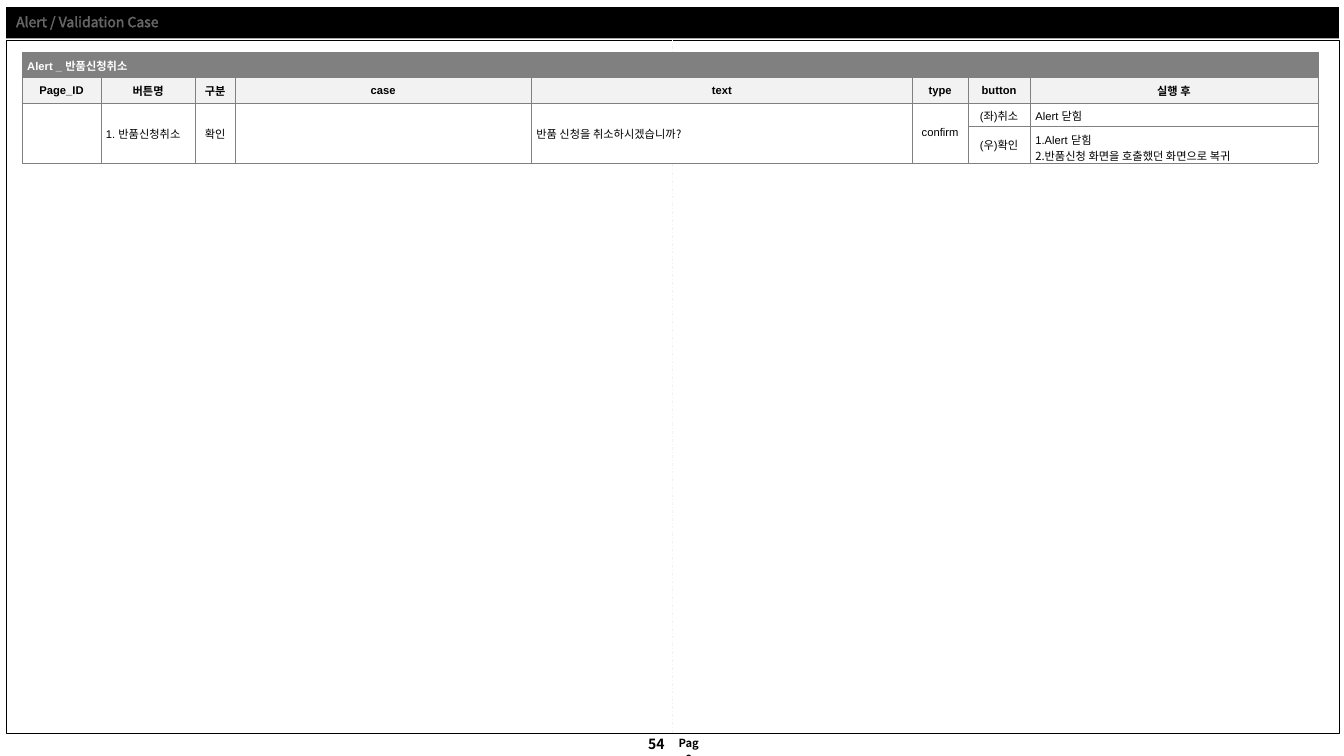
from dataclasses import dataclass

from lxml import etree
from pptx import Presentation
from pptx.dml.color import RGBColor
from pptx.enum.dml import MSO_LINE
from pptx.enum.shapes import MSO_CONNECTOR, MSO_SHAPE
from pptx.enum.text import MSO_ANCHOR, MSO_AUTO_SIZE, PP_ALIGN
from pptx.oxml.ns import qn
from pptx.slide import Slide
from pptx.table import Table, _Cell
from pptx.util import Inches, Pt

LEFT, CENTER, RIGHT = PP_ALIGN.LEFT, PP_ALIGN.CENTER, PP_ALIGN.RIGHT
MIDDLE = MSO_ANCHOR.MIDDLE
NO_AUTOFIT = MSO_AUTO_SIZE.NONE
DASH_DOT = MSO_LINE.DASH_DOT
RECTANGLE = MSO_SHAPE.RECTANGLE
STRAIGHT = MSO_CONNECTOR.STRAIGHT

BLACK = RGBColor(0x00, 0x00, 0x00)
WHITE = RGBColor(0xFF, 0xFF, 0xFF)
GRAY = RGBColor(0x80, 0x80, 0x80)
PALE = RGBColor(0xF2, 0xF2, 0xF2)

ARIAL = "Arial"
NOTO = "Noto Sans CJK KR"

HEADERS = ["Page_ID", "버튼명", "구분", "case", "text", "type", "button", "실행 후"]
COLUMN_WIDTHS = [0.78, 0.94, 0.39, 2.94, 3.78, 0.55, 0.62, 2.85]
ROW_HEIGHTS = [0.25, 0.25, 0.22, 0.22]


@dataclass
class CellSpec:
    row: int
    column: int
    lines: tuple[str, ...] = ("",)
    align: PP_ALIGN = LEFT
    row_span: int = 1
    column_span: int = 1
    font: str = ARIAL
    color: RGBColor = BLACK
    fill: RGBColor = WHITE
    bold: bool = False
    numbered: bool = False
    margin: float = 0.05
    line_spacing: float | None = None


@dataclass
class Label:
    text: str
    left: float
    top: float
    width: float
    height: float
    size: float
    align: PP_ALIGN


CELLS = [
    CellSpec(0, 0, ("Alert _ 반품신청취소",), column_span=8, color=WHITE, fill=GRAY, bold=True),
    *(
        CellSpec(1, column, (header,), CENTER, fill=PALE, bold=True, margin=0)
        for column, header in enumerate(HEADERS)
    ),
    CellSpec(2, 0, row_span=2),
    CellSpec(2, 1, ("1. 반품신청취소",), row_span=2, line_spacing=12),
    CellSpec(2, 2, ("확인",), CENTER, row_span=2),
    CellSpec(2, 3, row_span=2),
    CellSpec(2, 4, ("반품 신청을 취소하시겠습니까?",), row_span=2, font=NOTO),
    CellSpec(2, 5, ("confirm",), CENTER, row_span=2),
    CellSpec(2, 6, ("(좌)취소",), CENTER),
    CellSpec(2, 7, ("Alert 닫힘",)),
    CellSpec(3, 6, ("(우)확인",), CENTER),
    CellSpec(3, 7, ("Alert 닫힘", "반품신청 화면을 호출했던 화면으로 복귀"), numbered=True),
]

LABELS = [
    Label("Page", 6.61, 7.26, 0.44, 0.23, 8, CENTER),
    Label("54", 6.12, 7.25, 0.57, 0.27, 10, RIGHT),
]


def add_frame(slide: Slide) -> None:
    frame = slide.shapes.add_shape(
        RECTANGLE, Inches(0.06), Inches(0.4), Inches(13.22), Inches(6.87)
    )
    frame.shadow.inherit = False
    frame.fill.solid()
    frame.fill.fore_color.rgb = WHITE
    frame.line.color.rgb = BLACK
    frame.line.width = Pt(0.25)
    divider = slide.shapes.add_connector(
        STRAIGHT, Inches(6.67), Inches(7.27), Inches(6.67), Inches(0.4)
    )
    divider.begin_connect(frame, 2)
    divider.end_connect(frame, 0)
    divider.line.color.rgb = PALE
    divider.line.width = Pt(0.5)
    divider.line.dash_style = DASH_DOT
    etree.SubElement(divider._element.spPr, qn("a:effectLst"))


def add_label(slide: Slide, label: Label) -> None:
    box = slide.shapes.add_textbox(
        Inches(label.left), Inches(label.top), Inches(label.width), Inches(label.height)
    )
    box.text_frame.word_wrap = True
    paragraph = box.text_frame.paragraphs[0]
    paragraph.text = label.text
    paragraph.alignment = label.align
    paragraph.font.name = NOTO
    paragraph.font.size = Pt(label.size)
    paragraph.font.bold = True
    paragraph.font.color.rgb = BLACK


def format_title(slide: Slide) -> None:
    title = slide.shapes.title
    title.left, title.top = Inches(0.06), Inches(0.07)
    title.width, title.height = Inches(13.22), Inches(0.31)
    title.fill.solid()
    title.fill.fore_color.rgb = BLACK
    title.text_frame.auto_size = NO_AUTOFIT
    title.text_frame.vertical_anchor = MIDDLE
    paragraph = title.text_frame.paragraphs[0]
    paragraph.alignment = LEFT
    paragraph.line_spacing = 0.9
    run = paragraph.add_run()
    run.text = "Alert / Validation Case"
    run.font.name = NOTO
    run.font.size = Pt(10)
    run.font.color.rgb = WHITE
    outline = etree.Element(qn("a:ln"), w=str(Pt(0.75)))
    fill = etree.SubElement(outline, qn("a:solidFill"))
    color = etree.SubElement(fill, qn("a:srgbClr"), val=str(WHITE))
    etree.SubElement(color, qn("a:alpha"), val="40000")
    run.font._element.insert(0, outline)


def set_borders(cell: _Cell) -> None:
    properties = cell._tc.get_or_add_tcPr()
    for index, side in enumerate(("a:lnL", "a:lnR", "a:lnT", "a:lnB")):
        border = etree.Element(qn(side), w=str(Pt(0.25)))
        fill = etree.SubElement(border, qn("a:solidFill"))
        etree.SubElement(fill, qn("a:srgbClr"), val=str(GRAY))
        properties.insert(index, border)


def fill_cell(table: Table, spec: CellSpec) -> None:
    cell = table.cell(spec.row, spec.column)
    if spec.row_span > 1 or spec.column_span > 1:
        cell.merge(
            table.cell(spec.row + spec.row_span - 1, spec.column + spec.column_span - 1)
        )
    cell.fill.solid()
    cell.fill.fore_color.rgb = spec.fill
    cell.vertical_anchor = MIDDLE
    cell.margin_left = cell.margin_right = Inches(spec.margin)
    cell.margin_top = cell.margin_bottom = Inches(spec.margin)
    cell.text_frame.text = "\n".join(spec.lines)
    for paragraph in cell.text_frame.paragraphs:
        paragraph.alignment = spec.align
        if spec.line_spacing:
            paragraph.line_spacing = Pt(spec.line_spacing)
        if spec.numbered:
            properties = paragraph._p.get_or_add_pPr()
            properties.set("marL", str(Inches(0.09)))
            properties.set("indent", str(Inches(-0.09)))
            etree.SubElement(properties, qn("a:buAutoNum"), type="arabicPeriod")
        paragraph.font.name = spec.font
        paragraph.font.size = Pt(8)
        paragraph.font.bold = spec.bold
        paragraph.font.color.rgb = spec.color


def add_alert_table(slide: Slide) -> None:
    graphic = slide.shapes.add_table(
        len(ROW_HEIGHTS), len(COLUMN_WIDTHS),
        Inches(0.22), Inches(0.52), Inches(12.86), Inches(sum(ROW_HEIGHTS)),
    )
    table = graphic.table
    table.first_row = table.horz_banding = False
    for column, width in zip(table.columns, COLUMN_WIDTHS):
        column.width = Inches(width)
    for row, height in zip(table.rows, ROW_HEIGHTS):
        row.height = Inches(height)
    for spec in CELLS:
        fill_cell(table, spec)
    for cell in table.iter_cells():
        set_borders(cell)


def main() -> None:
    presentation = Presentation()
    presentation.slide_width = Inches(13.33)
    presentation.slide_height = Inches(7.5)
    slide = presentation.slides.add_slide(presentation.slide_layouts[0])
    subtitle = slide.placeholders[1]._element
    subtitle.getparent().remove(subtitle)
    format_title(slide)
    add_frame(slide)
    for label in LABELS:
        add_label(slide, label)
    add_alert_table(slide)
    presentation.save("out.pptx")


if __name__ == "__main__":
    main()
